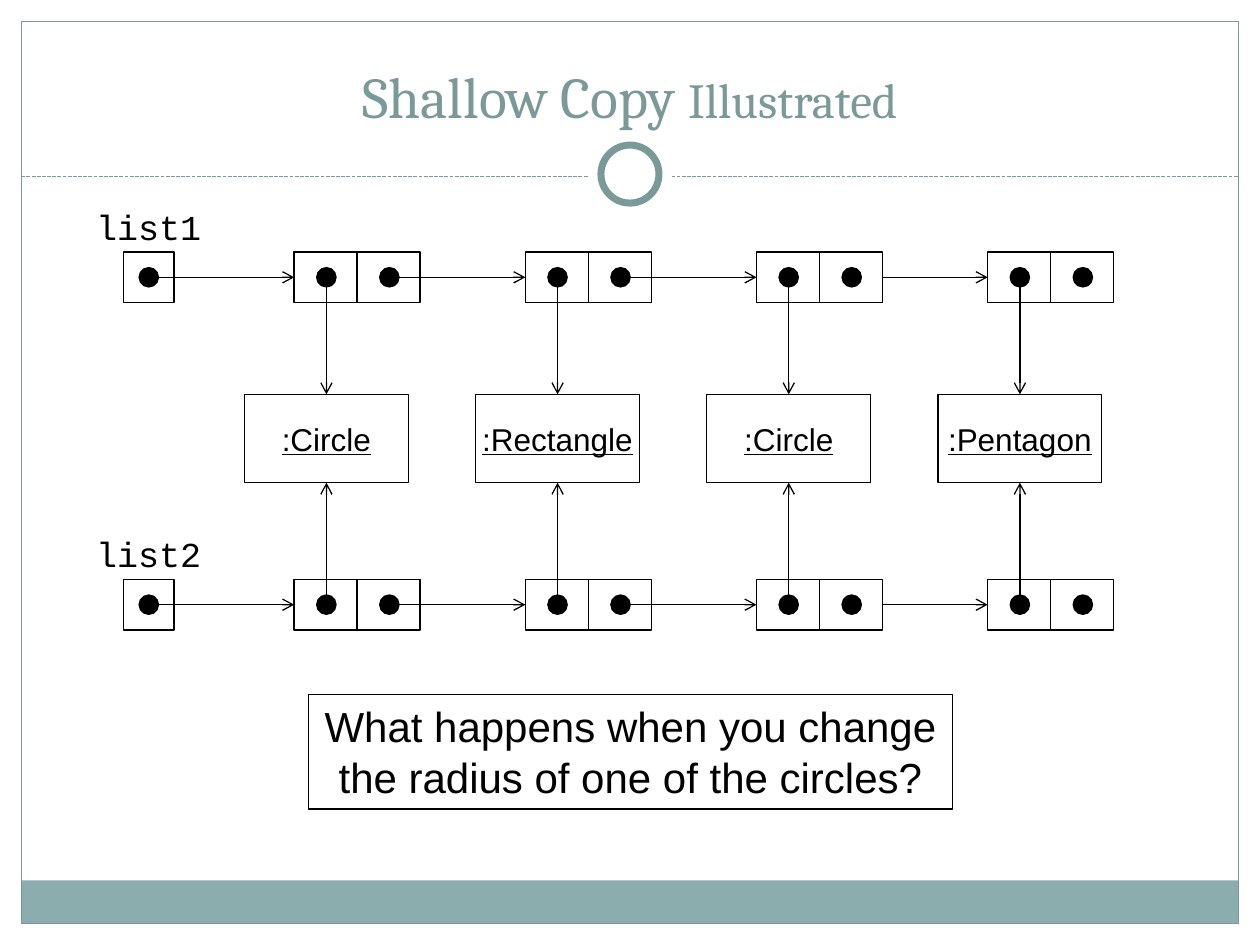
from lxml import etree
from pptx import Presentation
from pptx.dml.color import RGBColor
from pptx.enum.dml import MSO_LINE
from pptx.enum.shapes import MSO_CONNECTOR, MSO_SHAPE
from pptx.enum.text import MSO_ANCHOR, PP_ALIGN
from pptx.oxml.ns import qn
from pptx.util import Cm, Pt

RECTANGLE = MSO_SHAPE.RECTANGLE
OVAL = MSO_SHAPE.OVAL
STRAIGHT = MSO_CONNECTOR.STRAIGHT
DASHED = MSO_LINE.SQUARE_DOT
CENTER = PP_ALIGN.CENTER
TOP, MIDDLE, BOTTOM = MSO_ANCHOR.TOP, MSO_ANCHOR.MIDDLE, MSO_ANCHOR.BOTTOM

BLACK, WHITE, TEAL, PALE_TEAL = "000000", "FFFFFF", "7C999A", "8CADAE"

# All lengths are in centimetres.
SLIDE_WIDTH, SLIDE_HEIGHT = 25.4, 19.05
MARGIN = 0.43
RULE_Y = 3.56
CELL = 1.02
HEAD_LEFT = 2.49
NODE_LEFT, NODE_STEP, NODE_WIDTH = 5.93, 4.66, 2.54
VALUE_DOT, NEXT_DOT = 0.65, 1.92
DOT = 0.39
OBJECT_TOP, OBJECT_WIDTH, OBJECT_HEIGHT = 7.95, 3.3, 1.78
OBJECTS = [":Circle", ":Rectangle", ":Circle", ":Pentagon"]
LISTS = [("list1", 5.08), ("list2", 11.68)]


def color(hex_string):
    return RGBColor.from_string(hex_string)


def add_box(shapes, left, top, width, height, kind=RECTANGLE, fill=None,
            line=None, weight=0.75):
    box = shapes.add_shape(kind, Cm(left), Cm(top), Cm(width), Cm(height))
    box.shadow.inherit = False
    if fill:
        box.fill.solid()
        box.fill.fore_color.rgb = color(fill)
    else:
        box.fill.background()
    if line:
        box.line.color.rgb = color(line)
        box.line.width = Pt(weight)
    else:
        box.line.fill.background()
    return box


def add_circle(shapes, center_x, center_y, diameter, **style):
    return add_box(shapes, center_x - diameter / 2, center_y - diameter / 2,
                   diameter, diameter, kind=OVAL, **style)


def add_dot(shapes, center_x, center_y):
    return add_circle(shapes, center_x, center_y, DOT, fill=BLACK, line=BLACK)


def add_line(shapes, start, end, line=BLACK, dash=None, arrow=False):
    connector = shapes.add_connector(STRAIGHT, *map(Cm, start + end))
    connector.line.color.rgb = color(line)
    connector.line.width = Pt(0.75)
    if dash:
        connector.line.dash_style = dash
    if arrow:
        etree.SubElement(connector.line._get_or_add_ln(), qn("a:tailEnd"), type="arrow")
    etree.SubElement(connector._element.spPr, qn("a:effectLst"))
    return connector


def write(box, text, size, font="Arial", text_color=BLACK, underline=None,
          anchor=MIDDLE, wrap=False):
    """Fill a box with centred lines; add further spans to its last paragraph."""
    frame = box.text_frame
    frame.word_wrap = wrap
    frame.vertical_anchor = anchor
    for index, line in enumerate(text.split("\n")):
        para = frame.paragraphs[0] if index == 0 else frame.add_paragraph()
        para.alignment = CENTER
        span = para.add_run()
        span.text = line
        span.font.name = font
        span.font.size = Pt(size)
        span.font.color.rgb = color(text_color)
        span.font.underline = underline
    return para


def add_text_box(shapes, left, top, width, height):
    return shapes.add_textbox(Cm(left), Cm(top), Cm(width), Cm(height))


def add_frame(shapes):
    inner_width = SLIDE_WIDTH - 2 * MARGIN
    middle = SLIDE_WIDTH / 2
    add_box(shapes, MARGIN, 17.75, inner_width, 0.87, fill=PALE_TEAL)
    add_box(shapes, MARGIN, MARGIN, inner_width, SLIDE_HEIGHT - 2 * MARGIN, line=TEAL)
    add_line(shapes, (MARGIN, RULE_Y), (SLIDE_WIDTH - MARGIN, RULE_Y),
             line=TEAL, dash=DASHED)
    add_circle(shapes, middle, 3.51, 1.7, fill=WHITE)
    add_circle(shapes, middle, 3.51, 1.17, fill=WHITE, line=TEAL, weight=4)


def add_title(shapes):
    box = add_text_box(shapes, 0.85, 0.64, 23.7, 2.1)
    para = write(box, "Shallow Copy ", 33, font="Cambria", text_color=TEAL,
                 anchor=BOTTOM, wrap=True)
    span = para.add_run()
    span.text = "Illustrated"
    span.font.name = "Cambria"
    span.font.size = Pt(28)
    span.font.color.rgb = color(TEAL)


def add_head(shapes, name, top):
    """Draw the variable that refers to the first node of a list."""
    group = shapes.add_group_shape().shapes
    add_box(group, HEAD_LEFT, top, CELL, CELL, line=BLACK)
    add_dot(group, HEAD_LEFT + CELL / 2, top + CELL / 2)
    label = add_text_box(shapes, 1.68, top - 1.07, 2.64, 1.12)
    write(label, name, 20, font="Courier New", anchor=TOP)


def add_node(shapes, left, top):
    group = shapes.add_group_shape().shapes
    divider = left + NODE_WIDTH / 2
    add_box(group, left, top, NODE_WIDTH, CELL, line=BLACK)
    add_line(group, (divider, top), (divider, top + CELL))
    for offset in (NEXT_DOT, VALUE_DOT):
        add_dot(group, left + offset, top + CELL / 2)


def add_linked_list(shapes, name, top, node_lefts):
    middle = top + CELL / 2
    above = top < OBJECT_TOP
    value_start = middle + DOT / 2 if above else middle - DOT / 2
    value_end = OBJECT_TOP if above else OBJECT_TOP + OBJECT_HEIGHT

    add_head(shapes, name, top)
    for left in node_lefts:
        add_node(shapes, left, top)
        value_x = left + VALUE_DOT
        add_line(shapes, (value_x, value_start), (value_x, value_end), arrow=True)

    # The last link starts at the edge of its node, the others at a dot.
    starts = [HEAD_LEFT + CELL / 2 + DOT / 2]
    starts += [left + NEXT_DOT + DOT / 2 for left in node_lefts[:-2]]
    starts.append(node_lefts[-2] + NODE_WIDTH)
    for start, end in zip(starts, node_lefts):
        add_line(shapes, (start, middle), (end, middle), arrow=True)


def main():
    deck = Presentation()
    deck.slide_width, deck.slide_height = Cm(SLIDE_WIDTH), Cm(SLIDE_HEIGHT)
    page = deck.slides.add_slide(deck.slide_layouts[6])
    shapes = page.shapes

    add_frame(shapes)
    add_title(shapes)

    node_lefts = [NODE_LEFT + index * NODE_STEP for index in range(len(OBJECTS))]
    for name, left in zip(OBJECTS, node_lefts):
        object_left = left + VALUE_DOT - OBJECT_WIDTH / 2
        box = add_box(shapes, object_left, OBJECT_TOP, OBJECT_WIDTH, OBJECT_HEIGHT,
                      line=BLACK)
        write(box, name, 18, underline=True)
    for name, top in LISTS:
        add_linked_list(shapes, name, top, node_lefts)

    question = add_box(shapes, 6.22, 14, 12.98, 2.31, line=BLACK)
    write(question, "What happens when you change\nthe radius of one of the circles?",
          24, anchor=TOP)

    deck.save("out.pptx")


if __name__ == "__main__":
    main()
